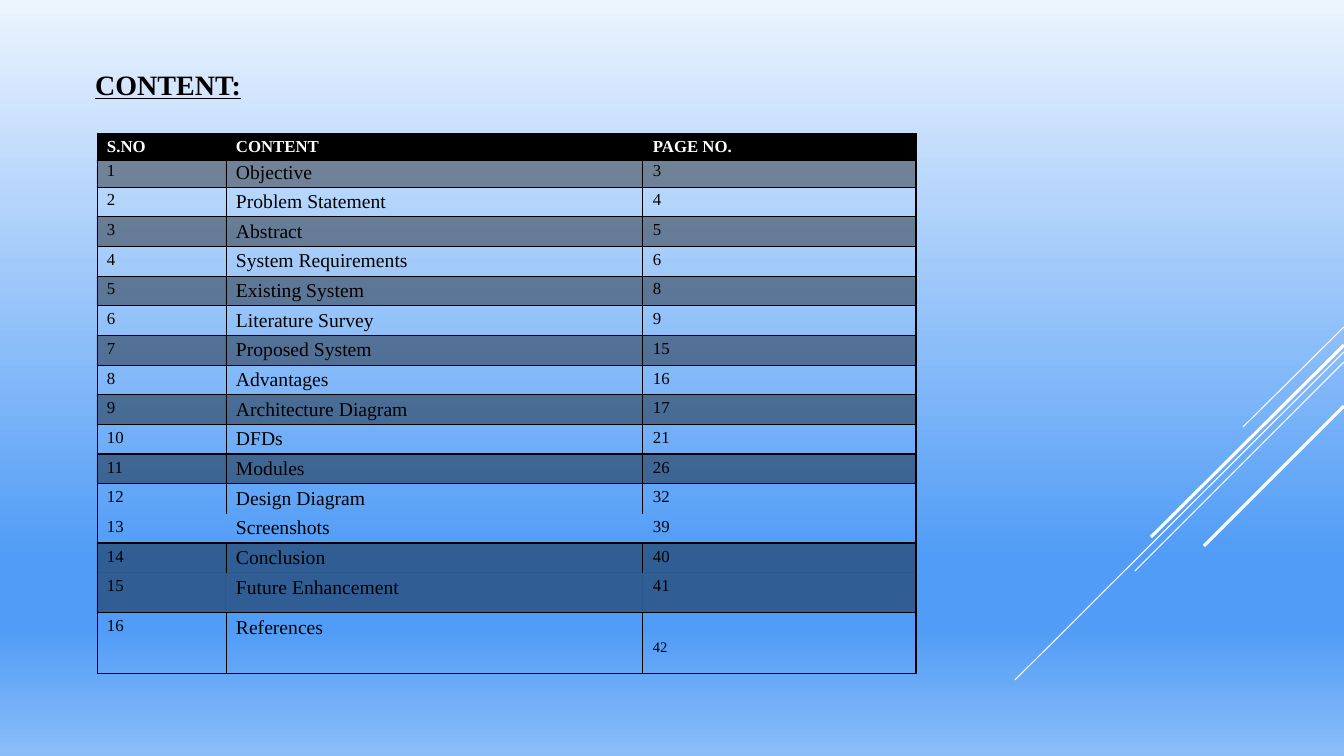
from dataclasses import dataclass

from lxml.etree import SubElement as Sub
from pptx import Presentation
from pptx.dml.color import RGBColor as Rgb
from pptx.enum.shapes import MSO_CONNECTOR as Link
from pptx.enum.text import MSO_ANCHOR as Anchor, PP_ALIGN as Align
from pptx.oxml import parse_xml
from pptx.oxml.ns import nsdecls, qn
from pptx.util import Pt

SCALE = 914400 / 100.8


@dataclass(frozen=True)
class Theme:
    """Colours, font and type sizes of the slide."""
    ink: str = "000000"
    pale: str = "FFFFFF"
    sky: tuple = ((0, "ECF4FE"), (74, "509CF6"), (83, "509CF6"), (100, "8BBDF9"))
    face: str = "Times New Roman"
    head: float = 20
    topic: float = 14
    body: float = 12
    last: float = 18
    thin: float = 0.75
    bold: float = 2.25


THEME = Theme()
TOPICS = [
    ("Objective", 3), ("Problem Statement", 4), ("Abstract", 5),
    ("System Requirements", 6), ("Existing System", 8), ("Literature Survey", 9),
    ("Proposed System", 15), ("Advantages", 16), ("Architecture Diagram", 17),
    ("DFDs", 21), ("Modules", 26), ("Design Diagram", 32), ("Screenshots", 39),
    ("Conclusion", 40), ("Future Enhancement", 41), ("References", 42),
]
ROWS = [("S.NO", "CONTENT", "PAGE NO.")] + [
    (str(num), name, str(page)) for num, (name, page) in enumerate(TOPICS, 1)]
SHADED = {1, 3, 5, 7, 9, 11, 14, 15}
OPEN_TOP = {13, 15}
THICK_TOP = {0, 11, 14}
COLS = (129, 417, 273)
RAYS = [
    (0, 228, 100, THEME.thin), (25, 0, 353, THEME.thin), (35, 120, 244, THEME.thin),
    (18, 136, 210, THEME.bold), (79, 189, 219, THEME.bold),
]


def px(size):
    """Turn pixels into EMU."""
    return round(size * SCALE)


def style(para, size, color, bold=False):
    """Set the font of a paragraph."""
    font = para.font
    font.name, font.size, font.bold = THEME.face, Pt(size), bold
    font.color.rgb = Rgb.from_string(color)


def paint_sky(slide):
    """Fill the background with the vertical gradient."""
    fill = slide.background.fill
    fill.gradient()
    fill.gradient_angle = 270
    stops = next(slide.element.iter(qn("a:gsLst")))
    for stop in list(stops):
        stops.remove(stop)
    for pos, color in THEME.sky:
        stop = Sub(stops, qn("a:gs"), pos=str(pos * 1000))
        Sub(stop, qn("a:srgbClr"), val=color)


def draw_rays(slide, left, top, width):
    """Draw the slanted rays down from the right edge of the box."""
    for start, end, drop, weight in RAYS:
        ray = slide.shapes.add_connector(
            Link.STRAIGHT, px(left + width), px(top + start), px(left + end), px(top + drop))
        ray.line.color.rgb = Rgb.from_string(THEME.pale)
        ray.line.width = Pt(weight)
        Sub(ray.element.spPr, qn("a:effectLst"))


def set_title(slide, left, top, width, height):
    """Place and format the heading."""
    title = slide.shapes.title
    title.left, title.top, title.width, title.height = map(px, (left, top, width, height))
    frame = title.text_frame
    frame.text = "CONTENT:"
    frame.vertical_anchor = Anchor.MIDDLE
    para = frame.paragraphs[0]
    para.alignment = Align.LEFT
    style(para, THEME.head, THEME.ink, True)
    para.font.underline = True


def add_edges(props, row, col):
    """Draw the borders of one cell."""
    def rule(edge):
        if edge in OPEN_TOP:
            return 0
        return 1.5 if edge in THICK_TOP else THEME.thin

    inner = 0 if row in OPEN_TOP else THEME.thin
    sides = {
        "lnL": inner if col else THEME.thin,
        "lnR": inner if col < 2 else 1.5,
        "lnT": rule(row),
        "lnB": rule(row + 1),
    }
    for spot, (side, weight) in enumerate(sides.items()):
        paint = (f'<a:solidFill><a:srgbClr val="{THEME.ink}"/></a:solidFill>'
                 if weight else "<a:noFill/>")
        props.insert(spot, parse_xml(
            f'<a:{side} {nsdecls("a")} w="{Pt(weight)}">{paint}</a:{side}>'))


def fill_cell(cell, text, row, col):
    """Write and format one table cell."""
    final = row == len(ROWS) - 1 and col == 2
    cell.margin_left = cell.margin_right = cell.margin_bottom = 0
    cell.margin_top = px(23 if final else 2 if row == 1 else 4)
    cell.text = text
    para = cell.text_frame.paragraphs[0]
    para.space_before = Pt(1.4 if row == 1 else 3)
    para._p.get_or_add_pPr().set("marL", str(px(10)))
    if row == 0:
        style(para, THEME.body, THEME.pale, True)
    else:
        size = THEME.last if final else THEME.topic if col == 1 else THEME.body
        style(para, size, THEME.ink)
    if final:
        para.runs[0].font._element.set("baseline", "23000")
    props = cell._tc.get_or_add_tcPr()
    if row == 0 or row in SHADED:
        cell.fill.solid()
        cell.fill.fore_color.rgb = Rgb.from_string(THEME.ink)
        if row:
            Sub(next(props.iter(qn("a:srgbClr"))), qn("a:alpha"), val="40000")
    else:
        cell.fill.background()
    add_edges(props, row, col)


def add_index(slide, left, top, width, height):
    """Build the table of contents in the box."""
    table = slide.shapes.add_table(
        len(ROWS), len(COLS), px(left), px(top), px(width), px(height)).table
    table.first_row = table.horz_banding = False
    table._tbl.tblPr.find(qn("a:tableStyleId")).text = "{2D5ABB26-0587-4C30-8999-92F81FD0307C}"
    for col, size in enumerate(COLS):
        table.columns[col].width = px(size)
    first, ends = (26, 27), (40, 61)
    even = (height - sum(first + ends)) / (len(ROWS) - 4)
    sizes = first + (even,) * (len(ROWS) - 4) + ends
    for row, texts in enumerate(ROWS):
        table.rows[row].height = px(sizes[row])
        for col, text in enumerate(texts):
            fill_cell(table.cell(row, col), text, row, col)


def main():
    """Build and save the slide."""
    deck = Presentation()
    deck.slide_width, deck.slide_height = px(1344), px(756)
    slide = deck.slides.add_slide(deck.slide_layouts[5])
    paint_sky(slide)
    draw_rays(slide, 1015, 327, 329)
    set_title(slide, 85, 34, 1109, 100)
    add_index(slide, 97, 134, sum(COLS), 540)
    deck.save("out.pptx")


if __name__ == "__main__":
    main()
